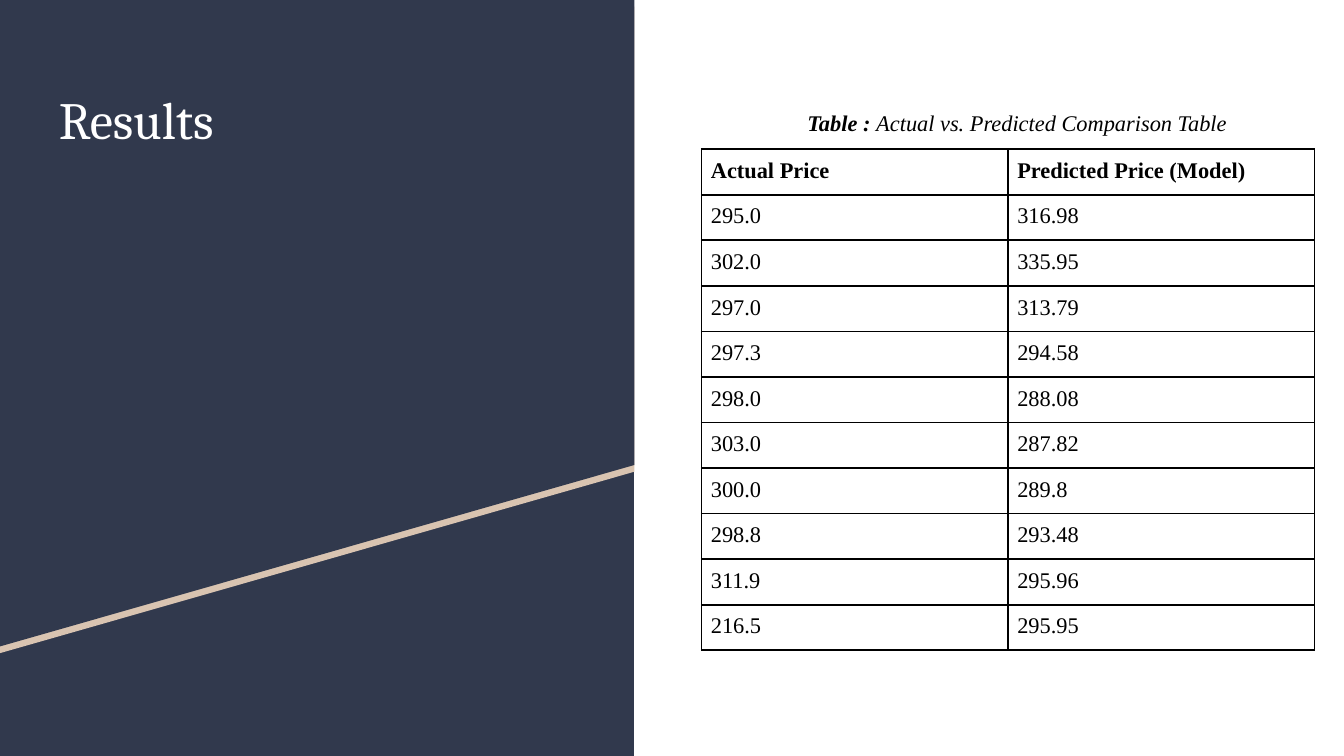
import pptx
import pptx.dml.color
import pptx.enum.text
import pptx.oxml
import pptx.util
from lxml import etree

Inches, Pt = pptx.util.Inches, pptx.util.Pt
NAVY, SAND, WHITE, BLACK = "31394D", "D9C4B1", "FFFFFF", "000000"


def paint(color_format, color):
    color_format.rgb = pptx.dml.color.RGBColor.from_string(color)


def add_text_box(left, top, width, height):
    """Add a wrapping text box with equal margins and return its text frame."""
    frame = slide.shapes.add_textbox(*map(Inches, (left, top, width, height))).text_frame
    frame.word_wrap = True
    frame.margin_left = frame.margin_right = Inches(0.1)
    frame.margin_top = frame.margin_bottom = Inches(0.1)
    return frame


presentation = pptx.Presentation()
presentation.slide_width = Inches(10)
presentation.slide_height = Pt(405)
slide = presentation.slides.add_slide(presentation.slide_layouts[6])
slide_height = presentation.slide_height.inches

# Navy panel with a slanted sand stripe: each layer covers part of the one below
panel_width = 4.72
stripe_width = 0.05
layers = [
    (0, slide_height, slide_height, NAVY),
    (stripe_width, 3.46 + stripe_width, 4.81 + stripe_width, SAND),
    (0, 3.46, 4.81, NAVY),
]
for top, right_bottom, left_bottom, color in layers:
    builder = slide.shapes.build_freeform(0, Inches(top))
    corners = [(panel_width, top), (panel_width, right_bottom), (0, left_bottom)]
    builder.add_line_segments([(Inches(x), Inches(y)) for x, y in corners])
    panel = builder.convert_to_shape()
    panel.shadow.inherit = False
    panel.fill.solid()
    paint(panel.fill.fore_color, color)
    panel.line.fill.background()

# Title
title = add_text_box(0.34, 0.55, 4.05, 2.74)
title.text = "Results"
title_font = title.paragraphs[0].runs[0].font
title_font.name, title_font.size = "Cambria", Pt(28)
paint(title_font.color, WHITE)

# Price table
rows = [
    ("Actual Price", "Predicted Price (Model)"),
    ("295.0", "316.98"),
    ("302.0", "335.95"),
    ("297.0", "313.79"),
    ("297.3", "294.58"),
    ("298.0", "288.08"),
    ("303.0", "287.82"),
    ("300.0", "289.8"),
    ("298.8", "293.48"),
    ("311.9", "295.96"),
    ("216.5", "295.95"),
]
column_width, row_height = 2.28, 0.32
table = slide.shapes.add_table(
    len(rows), 2, Inches(5.22), Inches(1.11),
    Inches(2 * column_width), Inches(row_height * len(rows))).table
table.first_row = table.horz_banding = False
for column in table.columns:
    column.width = Inches(column_width)
for row_index, values in enumerate(rows):
    table.rows[row_index].height = Inches(row_height)
    for column_index, value in enumerate(values):
        cell = table.cell(row_index, column_index)
        cell.margin_left = cell.margin_right = Pt(5)
        cell.margin_top = cell.margin_bottom = Pt(5)
        cell.text_frame.text = value
        font = cell.text_frame.paragraphs[0].runs[0].font
        font.name, font.size, font.bold = "Times New Roman", Pt(12), row_index == 0
        paint(font.color, BLACK)
        properties = cell._tc.get_or_add_tcPr()
        for side in ("lnL", "lnR", "lnT", "lnB"):
            border = etree.SubElement(properties, pptx.oxml.ns.qn(f"a:{side}"), w=str(Pt(1)))
            border_fill = etree.SubElement(border, pptx.oxml.ns.qn("a:solidFill"))
            etree.SubElement(border_fill, pptx.oxml.ns.qn("a:srgbClr"), val=BLACK)
        cell.fill.background()

# Table caption
caption = add_text_box(5.75, 0.4, 3.64, 0.92)
caption.vertical_anchor = pptx.enum.text.MSO_ANCHOR.MIDDLE
paragraph = caption.paragraphs[0]
paragraph.alignment = pptx.enum.text.PP_ALIGN.CENTER
paragraph.line_spacing = 1.5
for text, bold in [("Table : ", True), ("Actual vs. Predicted Comparison Table", False)]:
    run = paragraph.add_run()
    run.text = text
    run.font.name, run.font.size = "Times New Roman", Pt(12)
    run.font.bold, run.font.italic = bold, True
    paint(run.font.color, BLACK)

presentation.save("out.pptx")
